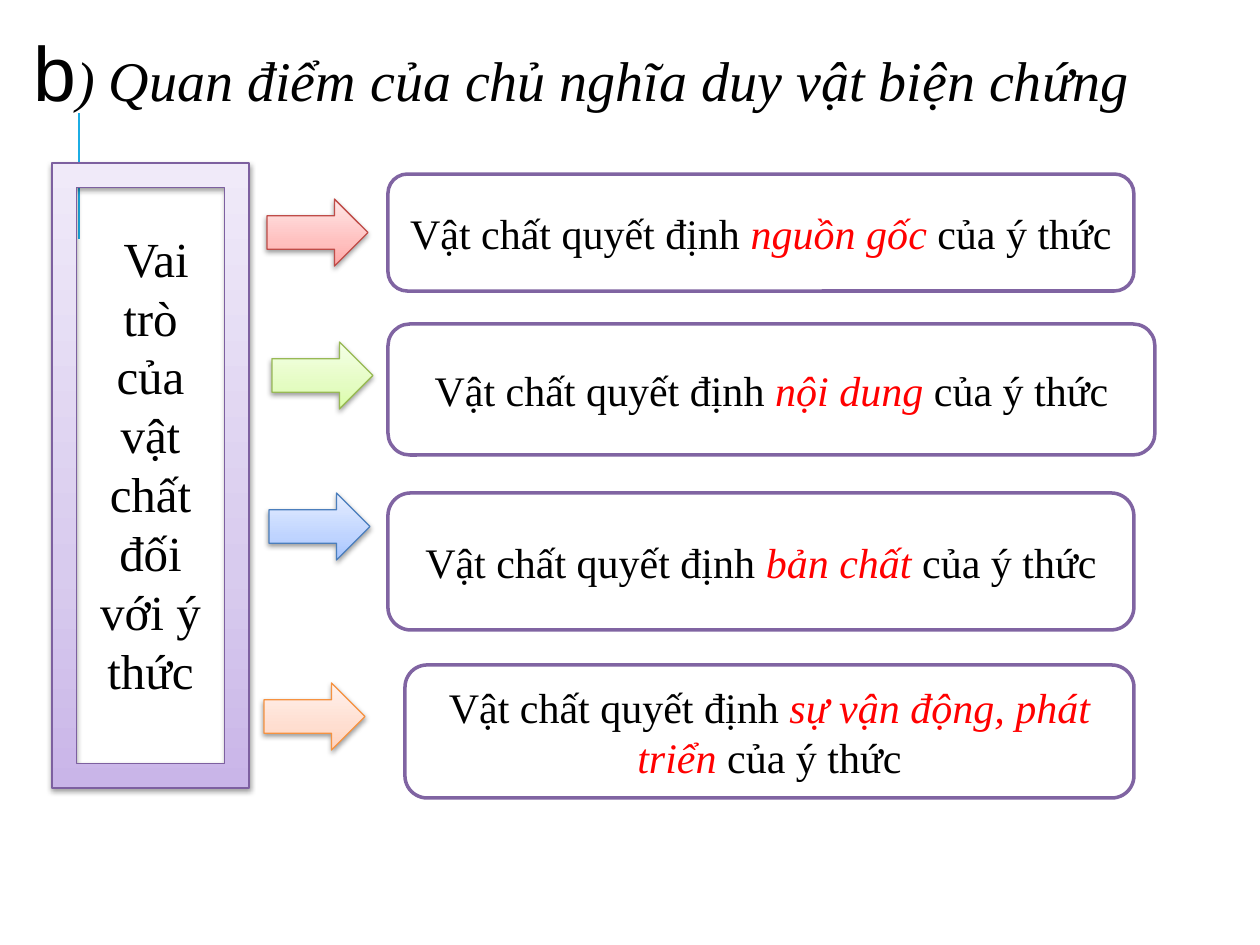
from copy import deepcopy

from lxml import etree
from pptx import Presentation
from pptx import util as u
from pptx.dml.color import RGBColor
from pptx.enum import shapes, text
from pptx.oxml.ns import qn

PX = 914400 // 126  # one pixel in EMU
SERIF, SANS = "Times New Roman", "Arial"
BLACK, RED, WHITE, PURPLE = "000000", "FF0000", "FFFFFF", "8064A2"


def rgb(value):
    return RGBColor.from_string(value)


class Board:
    """Holds the current slide and draws each kind of element in one style."""

    def __init__(self, slide):
        self.slide = slide

    def shape(self, kind, box, line, width):
        item = self.slide.shapes.add_shape(kind, *(n * PX for n in box))
        item.shadow.inherit = False
        item.line.color.rgb = rgb(line)
        item.line.width = u.Pt(width)
        return item

    def set_text(self, frame, runs, size, align, anchor):
        """Fill a text frame with (words, color, italic) runs in one paragraph."""
        frame.word_wrap = True
        frame.vertical_anchor = anchor
        paragraph = frame.paragraphs[0]
        paragraph.alignment = align
        paragraph.font.size = u.Pt(size)
        paragraph.font.name = SERIF
        for words, color, italic in runs:
            run = paragraph.add_run()
            run.text = words
            run.font.color.rgb = rgb(color)
            run.font.italic = italic
        return paragraph

    def label(self, box, runs, size, align, anchor):
        item = self.slide.shapes.add_textbox(*(n * PX for n in box))
        return self.set_text(item.text_frame, runs, size, align, anchor)

    def glossy(self, kind, box, line, colors):
        """Shape with a three-stop gradient, dark at the bottom, and a soft shadow."""
        item = self.shape(kind, box, line, 0.75)
        item.fill.gradient()
        item.fill.gradient_angle = 90
        properties = item._element.spPr
        stops = properties.find(".//" + qn("a:gsLst"))
        stops.insert(1, deepcopy(stops[0]))
        for stop, position, color in zip(item.fill.gradient_stops, (0, 0.35, 1), colors):
            stop.position = position
            stop.color.rgb = rgb(color)
        shadow = etree.SubElement(
            properties.find(qn("a:effectLst")), qn("a:outerShdw"),
            blurRad=str(u.Pt(3.1)), dist=str(u.Pt(1.6)), dir="5400000", rotWithShape="0")
        tint = etree.SubElement(shadow, qn("a:srgbClr"), val=BLACK)
        etree.SubElement(tint, qn("a:alpha"), val="38000")

    def card(self, box, key_words):
        item = self.shape(shapes.MSO_SHAPE.ROUNDED_RECTANGLE, box, PURPLE, 2)
        item.fill.solid()
        item.fill.fore_color.rgb = rgb(WHITE)
        runs = [("Vật chất quyết định ", BLACK, False),
                (key_words + " ", RED, True),
                ("của ý thức", BLACK, False)]
        self.set_text(item.text_frame, runs, 24, text.PP_ALIGN.CENTER, text.MSO_ANCHOR.MIDDLE)

    def rule(self, x1, y1, x2, y2, color, width):
        item = self.slide.shapes.add_connector(
            shapes.MSO_CONNECTOR.STRAIGHT, *(n * PX for n in (x1, y1, x2, y2)))
        item.line.color.rgb = rgb(color)
        item.line.width = u.Pt(width)
        etree.SubElement(item._element.spPr, qn("a:effectLst"))


def main():
    deck = Presentation()
    deck.slide_width, deck.slide_height = u.Inches(10), u.Inches(7.5)
    board = Board(deck.slides.add_slide(deck.slide_layouts[6]))

    # Accent line and heading
    board.rule(79, 239, 79, 113, "1CADE4", 1.5)
    heading = board.label(
        (21, 14, 1218, 125),
        [("b", BLACK, False), (") Quan điểm của chủ nghĩa duy vật biện chứng", BLACK, True)],
        32, text.PP_ALIGN.LEFT, text.MSO_ANCHOR.MIDDLE)
    heading.line_spacing = 0.9
    letter = heading.runs[0].font
    letter.name, letter.size = SANS, u.Pt(44)

    # Framed topic
    board.glossy(shapes.MSO_SHAPE.FRAME, (52, 163, 197, 625), "7D60A0",
                 ("C9B5E8", "D8CBEE", "F0EAF9"))
    board.label((71, 222, 159, 488),
                [(" Vai trò của vật chất đối với ý thức", BLACK, False)],
                28, text.PP_ALIGN.CENTER, text.MSO_ANCHOR.TOP)

    # Each role: arrow position, outline, gradient; card box, key words
    roles = [
        ((267, 199), "BF4C48", ("FFA6A5", "FFC0BF", "FFE7E7"),
         (388, 174, 746, 117), "nguồn gốc"),
        ((272, 342), "98B955", ("DAFDA7", "E4FCC2", "F5FFE7"),
         (388, 324, 767, 131), "nội dung"),
        ((269, 493), "4B7EBC", ("A4C4FF", "BFD4FF", "E6EEFF"),
         (388, 493, 746, 137), "bản chất"),
        ((264, 683), "F69240", ("FFD2BD", "FFDED0", "FFF2ED"),
         (405, 665, 729, 133), "sự vận động, phát triển"),
    ]
    for place, outline, gradient, box, key_words in roles:
        board.glossy(shapes.MSO_SHAPE.RIGHT_ARROW, (*place, 101, 67), outline, gradient)
        board.card(box, key_words)

    deck.save("out.pptx")


if __name__ == "__main__":
    main()
